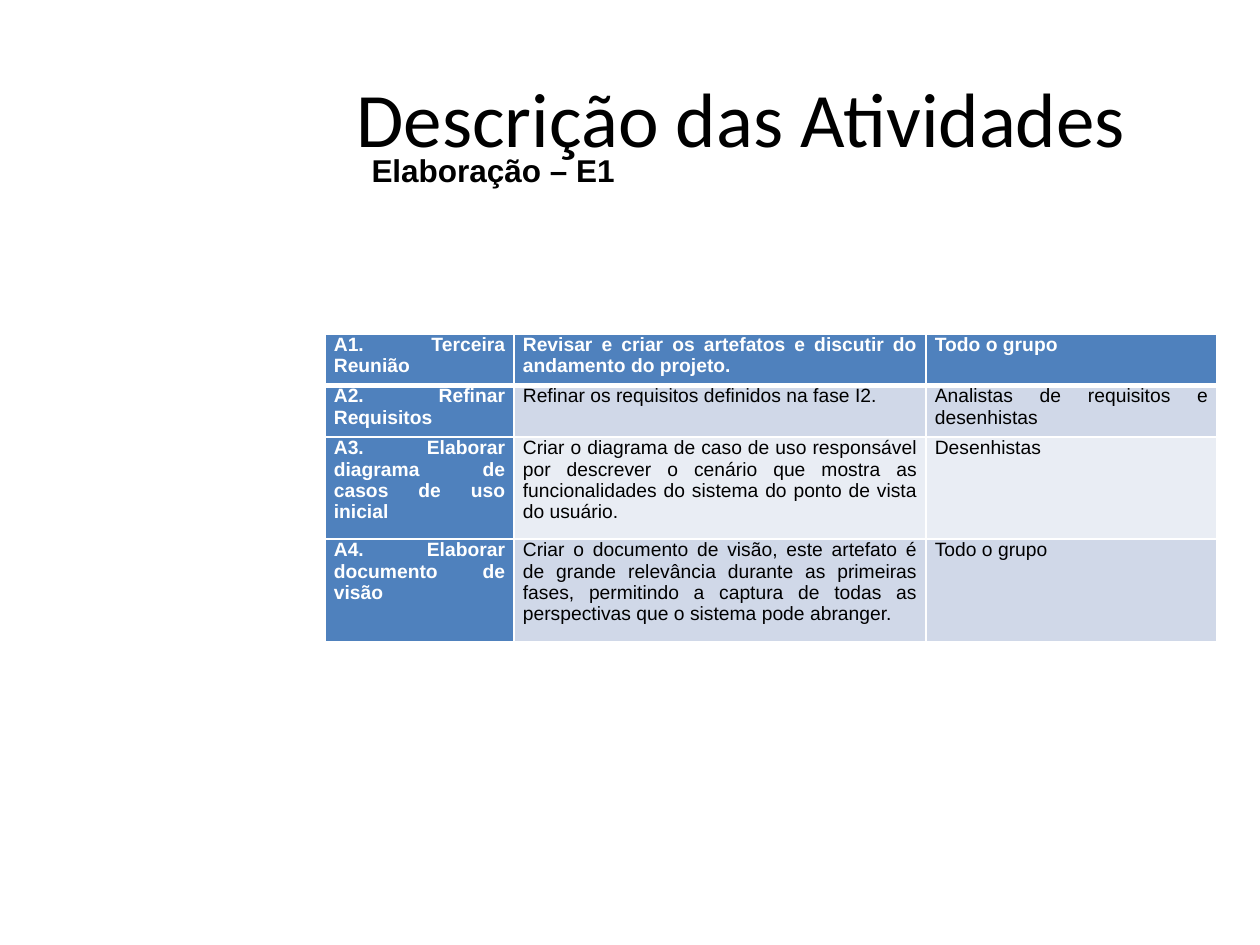
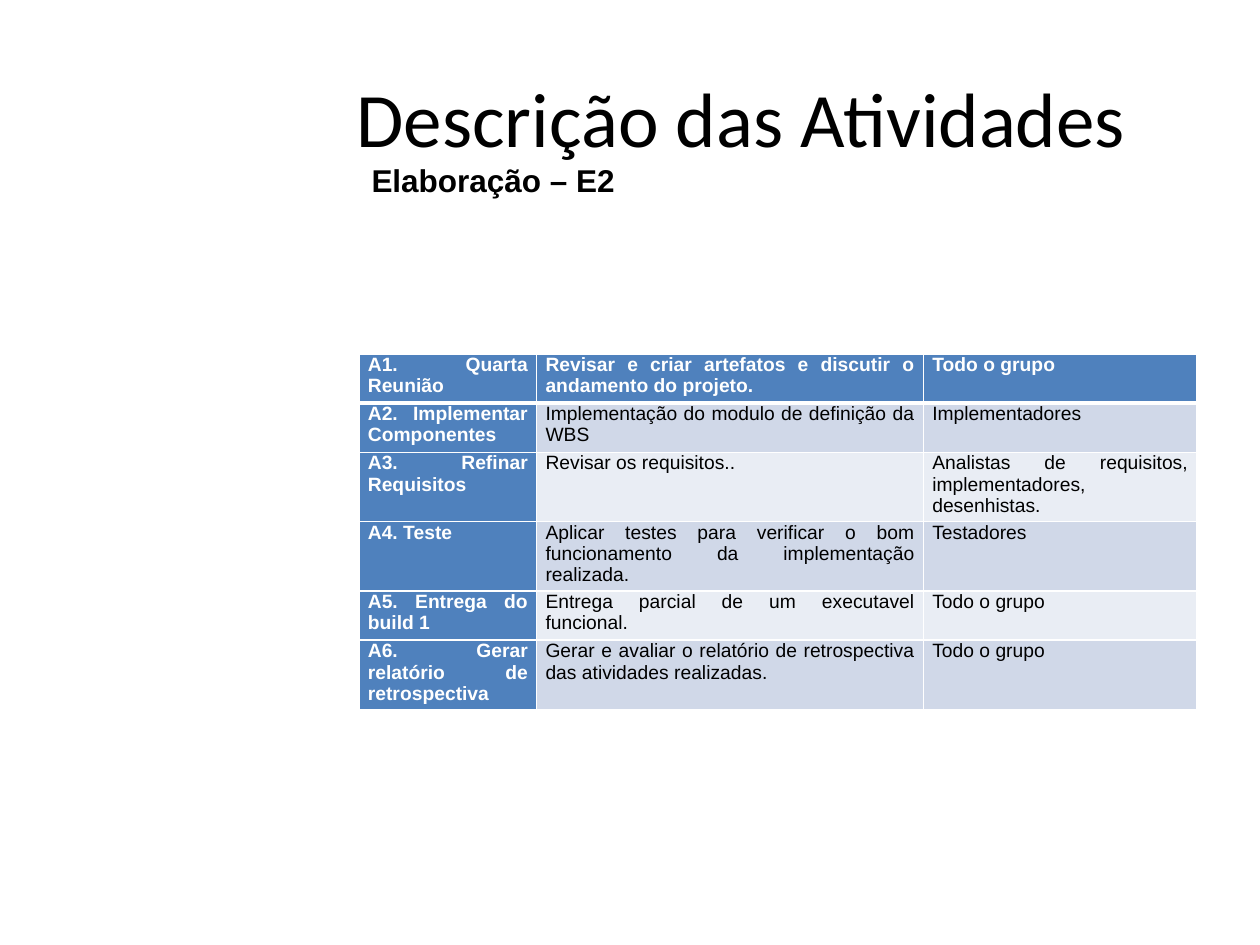
from lxml.etree import SubElement
from pptx import Presentation
from pptx.dml.color import RGBColor
from pptx.enum.text import MSO_ANCHOR as Anchor, MSO_AUTO_SIZE as AutoSize, PP_ALIGN as Align
from pptx.oxml.ns import qn
from pptx.util import Inches, Pt

TITLE = "Descrição das Atividades"
PHASES = [
    {
        "phase": "Elaboração – E1",
        "phase_top": 1.15,
        "table_at": (2.58, 2.65),
        "columns": (1.5, 3.27, 2.31),
        "rows": (0.41, 0.41, 0.81, 0.81),
        "activities": [
            ("A1. Terceira Reunião",
             "Revisar e criar os artefatos e discutir do andamento do projeto.",
             "Todo o grupo"),
            ("A2. Refinar Requisitos",
             "Refinar os requisitos definidos na fase I2.",
             "Analistas de requisitos e desenhistas"),
            ("A3. Elaborar diagrama de casos de uso inicial",
             "Criar o diagrama de caso de uso responsável por descrever o cenário que "
             "mostra as funcionalidades do sistema do ponto de vista do usuário.",
             "Desenhistas"),
            ("A4. Elaborar documento de visão",
             "Criar o documento de visão, este artefato é de grande relevância durante "
             "as primeiras fases, permitindo a captura de todas as perspectivas que o "
             "sistema pode abranger.",
             "Todo o grupo"),
        ],
    },
    {
        "phase": "Elaboração – E2",
        "phase_top": 1.23,
        "table_at": (2.85, 2.81),
        "columns": (1.41, 3.07, 2.17),
        "rows": (0.39,) * 6,
        "activities": [
            ("A1. Quarta Reunião",
             "Revisar e criar artefatos e discutir o andamento do projeto.",
             "Todo o grupo"),
            ("A2. Implementar Componentes",
             "Implementação do modulo de definição da WBS",
             "Implementadores"),
            ("A3. Refinar Requisitos",
             "Revisar os requisitos..",
             "Analistas de requisitos, implementadores, desenhistas."),
            ("A4. Teste",
             "Aplicar testes para verificar o bom funcionamento da implementação realizada.",
             "Testadores"),
            ("A5. Entrega do build 1",
             "Entrega parcial de um executavel funcional.",
             "Todo o grupo"),
            ("A6. Gerar relatório de retrospectiva",
             "Gerar e avaliar o relatório de retrospectiva das atividades realizadas.",
             "Todo o grupo"),
        ],
    },
]

COLORS = {"text": "000000", "white": "FFFFFF", "header": "4F81BD",
          "odd": "D0D8E8", "even": "E9EDF4"}
TITLE_BOX = (2.73, 0.3, 6.77, 1.25)
PHASE_LEFT, PHASE_WIDTH, PHASE_HEIGHT = 2.85, 2.15, 0.4
CELL_INSET = 0.07
THIN, THICK = 1, 3


def color(name):
    return RGBColor.from_string(COLORS[name])


def style_text(paragraph, size, font="Arial", ink="text", bold=False):
    for run in paragraph.runs:
        run.font.size = Pt(size)
        run.font.name = font
        run.font.bold = bold
        run.font.color.rgb = color(ink)


def add_title(slide):
    title = slide.shapes.title
    title.left, title.top, title.width, title.height = map(Inches, TITLE_BOX)
    frame = title.text_frame
    frame.text = TITLE
    frame.vertical_anchor = Anchor.MIDDLE
    frame.paragraphs[0].alignment = Align.LEFT
    style_text(frame.paragraphs[0], 44, "Calibri")


def add_phase(slide, phase, top):
    box = slide.shapes.add_textbox(
        *map(Inches, (PHASE_LEFT, top, PHASE_WIDTH, PHASE_HEIGHT)))
    frame = box.text_frame
    frame.word_wrap = False
    frame.auto_size = AutoSize.SHAPE_TO_FIT_TEXT
    frame.text = phase
    style_text(frame.paragraphs[0], 18, bold=True)


def set_borders(cell, top, bottom):
    """Draw white cell edges; must run before the cell gets its fill."""
    properties = cell._tc.get_or_add_tcPr()
    for side, width in (("L", THIN), ("R", THIN), ("T", top), ("B", bottom)):
        line = SubElement(properties, qn(f"a:ln{side}"), w=str(Pt(width)))
        fill = SubElement(line, qn("a:solidFill"))
        SubElement(fill, qn("a:srgbClr"), val=COLORS["white"])


def format_cell(cell, text, row, column):
    is_header = row == 0 or column == 0
    cell.margin_left = cell.margin_right = Inches(CELL_INSET)
    cell.margin_top = cell.margin_bottom = 0
    set_borders(cell, THICK if row == 1 else THIN, THICK if row == 0 else THIN)
    cell.fill.solid()
    cell.fill.fore_color.rgb = color(
        "header" if is_header else "odd" if row % 2 else "even")
    cell.text_frame.text = text
    paragraph = cell.text_frame.paragraphs[0]
    paragraph.alignment = Align.JUSTIFY
    paragraph.space_after = Pt(6)
    style_text(paragraph, 11, ink="white" if is_header else "text", bold=is_header)


def add_activities(slide, activities, at, columns, rows):
    table = slide.shapes.add_table(
        len(rows), len(columns),
        *map(Inches, (*at, sum(columns), sum(rows)))).table
    for column, width in zip(table.columns, columns):
        column.width = Inches(width)
    for row, height in zip(table.rows, rows):
        row.height = Inches(height)
    for r, activity in enumerate(activities):
        for c, text in enumerate(activity):
            format_cell(table.cell(r, c), text, r, c)


def main():
    deck = Presentation()
    deck.slide_width, deck.slide_height = Inches(10), Inches(7.5)
    title_only = deck.slide_layouts[5]
    for part in PHASES:
        slide = deck.slides.add_slide(title_only)
        add_title(slide)
        add_phase(slide, part["phase"], part["phase_top"])
        add_activities(slide, part["activities"], part["table_at"],
                       part["columns"], part["rows"])
    deck.save("out.pptx")


if __name__ == "__main__":
    main()
